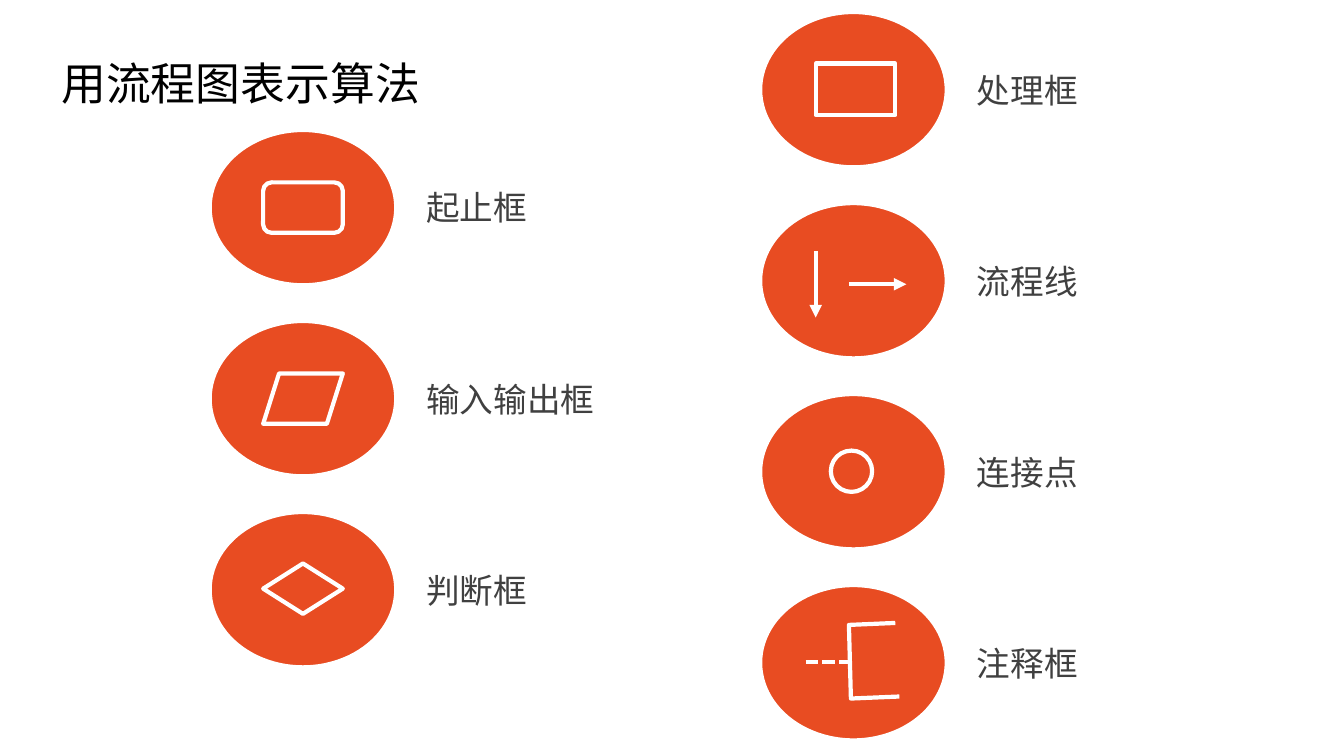
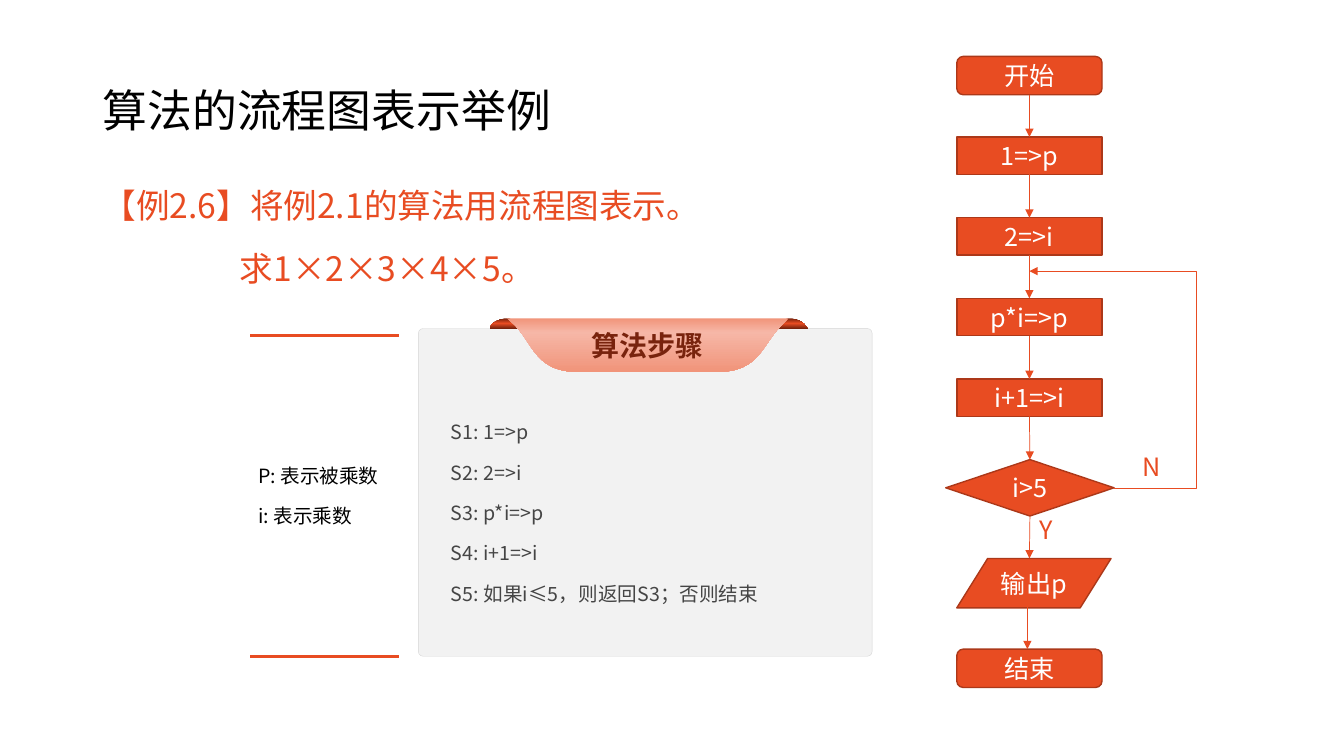
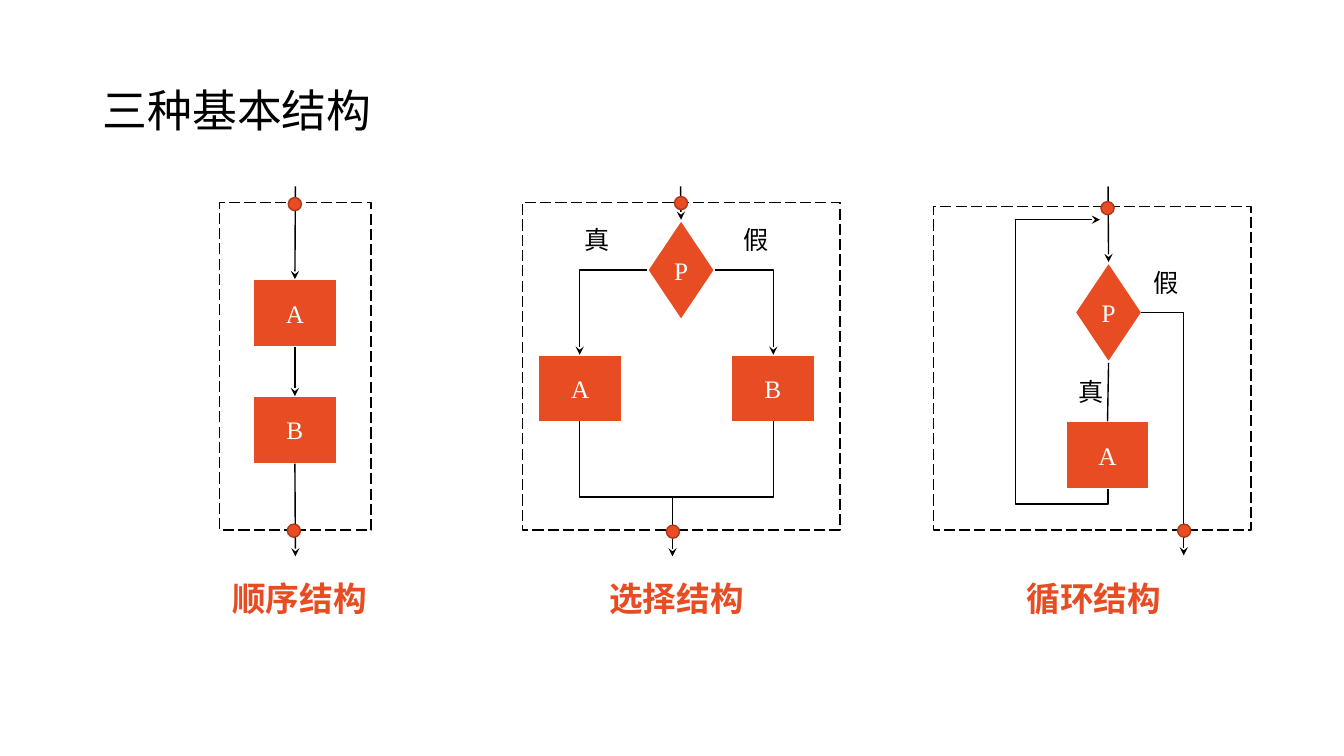
"""Build three slides on flowchart symbols, an example and the basic structures."""
from dataclasses import dataclass

from lxml import etree
from pptx import Presentation
from pptx import util as u
from pptx.dml.color import RGBColor
from pptx.enum import dml, shapes, text
from pptx.oxml.ns import qn

Kind = shapes.MSO_SHAPE
Align = text.PP_ALIGN
Anchor = text.MSO_ANCHOR
Dash = dml.MSO_LINE


@dataclass(frozen=True)
class Theme:
    """Colours, fonts and type sizes shared by the slides."""

    accent: str = "E84C22"
    edge: str = "AC3819"
    dark: str = "78230D"
    ribbon: str = "F1947A"
    ribbon_light: str = "F6B7A7"
    panel: str = "F2F2F2"
    panel_edge: str = "D5D5D5"
    label: str = "404040"
    step: str = "454545"
    white: str = "FFFFFF"
    black: str = "000000"
    sans: str = "Noto Sans CJK SC"
    serif: str = "Times New Roman"
    caption_font: str = "Arial"
    title_size: int = 32
    lead_size: int = 24
    banner_size: int = 20
    node_size: int = 18
    note_size: int = 14


T = Theme()


def write(shape, lines, size, color, font=T.sans, bold=False, align=Align.LEFT,
          anchor=Anchor.TOP, insets=(0.1, 0.05, 0.1, 0.05), wrap=True,
          spacing=None, before=0, after=0, indents=()):
    """Put lines of uniformly styled text into a shape."""
    frame = shape.text_frame
    frame.text = "\n".join(lines)
    frame.word_wrap = wrap
    frame.vertical_anchor = anchor
    frame.margin_left, frame.margin_top, frame.margin_right, frame.margin_bottom = map(u.Inches, insets)
    for paragraph in frame.paragraphs:
        paragraph.alignment = align
        paragraph.space_before, paragraph.space_after = u.Pt(before), u.Pt(after)
        if spacing:
            paragraph.line_spacing = spacing
        paragraph.font.name = font
        paragraph.font.size = u.Pt(size)
        paragraph.font.bold = bold
        paragraph.font.color.rgb = RGBColor.from_string(color)
        properties = paragraph._p.get_or_add_pPr()
        defaults = properties.find(qn("a:defRPr"))
        etree.SubElement(defaults, qn("a:ea"), typeface=T.sans)
    for paragraph, indent in zip(frame.paragraphs, indents):
        properties = paragraph._p.get_or_add_pPr()
        properties.set("marL", str(u.Inches(indent)))
        properties.set("indent", "0")


def text_box(slide, at, lines, size, color, **style):
    """Add a free-standing text."""
    box = slide.shapes.add_textbox(*map(u.Inches, at))
    write(box, lines, size, color, **style)


def title(slide, words, left=0.92, top=0.4):
    """Add the slide title."""
    text_box(slide, (left, top, 11.5, 1.45), [words], T.title_size, T.black,
             anchor=Anchor.MIDDLE, spacing=0.9)


def outline(line, color, width, dash=None, arrow=None):
    """Style a line, with an optional dash and arrowhead at its end."""
    line.color.rgb = RGBColor.from_string(color)
    line.width = u.Pt(width)
    if dash:
        line.dash_style = dash
    if arrow:
        etree.SubElement(line._get_or_add_ln(), qn("a:tailEnd"), type=arrow)


def paint(shape, fill):
    """Fill a shape, or leave it open, and drop its shadow."""
    shape.shadow.inherit = False
    if fill:
        shape.fill.solid()
        shape.fill.fore_color.rgb = RGBColor.from_string(fill)
    else:
        shape.fill.background()


def figure(slide, kind, at, fill, color, width, dash=None):
    """Add a preset shape."""
    shape = slide.shapes.add_shape(kind, *map(u.Inches, at))
    paint(shape, fill)
    outline(shape.line, color, width, dash)
    return shape


def freeform(slide, points, close=False):
    """Add an unfilled outline through points."""
    corners = [(u.Inches(x), u.Inches(y)) for x, y in points]
    builder = slide.shapes.build_freeform(*corners[0])
    builder.add_line_segments(corners[1:], close=close)
    shape = builder.convert_to_shape()
    paint(shape, None)
    return shape


def polyline(slide, points, color, width, arrow=None):
    """Add an open bent line."""
    outline(freeform(slide, points).line, color, width, arrow=arrow)


def connect(slide, start, end, color, width, arrow=None, dash=None, source=None, target=None):
    """Add a straight line, joined below source and above target if given."""
    line = slide.shapes.add_connector(shapes.MSO_CONNECTOR.STRAIGHT,
                                      *map(u.Inches, (*start, *end)))
    etree.SubElement(line._element.spPr, qn("a:effectLst"))
    if source is not None:
        line.begin_connect(source, 2)
    if target is not None:
        line.end_connect(target, 0)
    outline(line.line, color, width, dash, arrow)
    effects = line._element.spPr.find(qn("a:effectLst"))
    line._element.spPr.append(effects)


def bezier(a, b, c, d, steps=12):
    """Return points along a cubic curve."""
    def blend(t, axis):
        s = 1 - t
        return (s ** 3 * a[axis] + 3 * s * s * t * b[axis]
                + 3 * s * t * t * c[axis] + t ** 3 * d[axis])
    return [(blend(i / steps, 0), blend(i / steps, 1)) for i in range(steps + 1)]


def gradient_piece(slide, points, stops):
    """Add a closed outline with a top-down gradient."""
    piece = freeform(slide, points, close=True)
    piece.line.fill.background()
    piece.fill.gradient()
    piece.fill.gradient_angle = 270
    stop_list = piece._element.spPr.find(qn("a:gradFill")).find(qn("a:gsLst"))
    for stop in list(stop_list):
        stop_list.remove(stop)
    for position, color in stops:
        stop = etree.SubElement(stop_list, qn("a:gs"), pos=str(position * 1000))
        etree.SubElement(stop, qn("a:srgbClr"), val=color)
    return piece


def symbol_slide(slide):
    """Show the flowchart symbols with their names."""
    title(slide, "用流程图表示算法", 0.51, 0.13)
    columns = (
        (2.09, 1.3, (("起止框", Kind.FLOWCHART_ALTERNATE_PROCESS, (0.52, 0.51, 0.79, 0.5)),
                     ("输入输出框", Kind.FLOWCHART_DATA, (0.52, 0.51, 0.79, 0.5)),
                     ("判断框", Kind.FLOWCHART_DECISION, (0.52, 0.5, 0.79, 0.5)))),
        (7.55, 0.13, (("处理框", Kind.FLOWCHART_PROCESS, (0.54, 0.5, 0.79, 0.51)),
                      ("流程线", None, None),
                      ("连接点", Kind.FLOWCHART_CONNECTOR, (0.69, 0.55, 0.41, 0.41)),
                      ("注释框", None, None))),
    )
    for left, first_top, entries in columns:
        for row, (name, kind, place) in enumerate(entries):
            top = first_top + 1.895 * row
            figure(slide, Kind.OVAL, (left, top, 1.83, 1.52), T.accent, T.white, 1.5)
            text_box(slide, (left + 2.04, top + 0.51, 1.99, 0.5), [name], T.lead_size, T.label)
            if kind:
                dx, dy, width, height = place
                figure(slide, kind, (left + dx, top + dy, width, height), None, T.white, 3)
    connect(slide, (8.09, 2.49), (8.09, 3.15), T.white, 3, "triangle")
    connect(slide, (8.42, 2.82), (8.99, 2.82), T.white, 3, "triangle")
    connect(slide, (7.99, 6.57), (8.42, 6.57), T.white, 3, dash=Dash.SQUARE_DOT)
    polyline(slide, [(8.88, 6.18), (8.42, 6.2), (8.44, 6.93), (8.92, 6.91)], T.white, 3)


def step_panel(slide):
    """Show the algorithm steps under a ribbon."""
    panel = figure(slide, Kind.ROUNDED_RECTANGLE, (4.15, 3.26, 4.5, 3.25),
                   T.panel, T.panel_edge, 0.25)
    panel.adjustments[0] = 0.014
    steps = ["S1: 1=>p", "S2: 2=>i", "S3: p*i=>p", "S4: i+1=>i",
             "S5: 如果i≤5，则返回S3；否则结束"]
    write(panel, steps, T.note_size, T.step, align=Align.JUSTIFY, anchor=Anchor.MIDDLE,
          insets=(0.31, 0.79, 0.31, 0.39), before=6, after=6)
    ear = [*bezier((4.86, 3.25), (4.88, 3.21), (4.92, 3.18), (4.97, 3.17)),
           (5, 3.16), (5.05, 3.16),
           *bezier((5.08, 3.17), (5.13, 3.18), (5.17, 3.21), (5.19, 3.25)),
           (5.2, 3.26), (4.86, 3.26)]
    for shift in (0, 2.81):
        gradient_piece(slide, [(x + shift, y) for x, y in ear],
                       ((0, T.dark), (49, T.accent), (100, T.dark)))
    ribbon = gradient_piece(
        slide,
        [(5.03, 3.16), (7.82, 3.16),
         *bezier((7.74, 3.24), (7.56, 3.42), (7.53, 3.69), (7.12, 3.69)),
         *bezier((5.73, 3.69), (5.32, 3.69), (5.29, 3.42), (5.11, 3.23))],
        ((0, T.ribbon), (26, T.ribbon_light), (100, T.ribbon)))
    write(ribbon, ["算法步骤"], T.banner_size, T.dark, bold=True,
          align=Align.CENTER, anchor=Anchor.MIDDLE)


def flow_node(slide, kind, at, words):
    """Add a labelled flowchart node."""
    node = figure(slide, kind, at, T.accent, T.edge, 1)
    write(node, [words], T.node_size, T.white, align=Align.CENTER,
          anchor=Anchor.MIDDLE, insets=(0, 0, 0, 0))
    return node


def flowchart(slide):
    """Draw the flowchart of the multiplication loop."""
    axis = 10.21
    chain = [flow_node(slide, Kind.FLOWCHART_ALTERNATE_PROCESS, (9.49, 0.56, 1.44, 0.38), "开始")]
    for row, words in enumerate(("1=>p", "2=>i", "p*i=>p", "i+1=>i"), start=1):
        chain.append(flow_node(slide, Kind.FLOWCHART_PROCESS,
                               (9.49, 0.56 + 0.8 * row, 1.44, 0.37), words))
    chain.append(flow_node(slide, Kind.FLOWCHART_DECISION, (9.38, 4.56, 1.67, 0.56), "i>5"))
    flow_node(slide, Kind.FLOWCHART_DATA, (9.49, 5.54, 1.53, 0.49), "输出p")
    flow_node(slide, Kind.FLOWCHART_ALTERNATE_PROCESS, (9.49, 6.44, 1.44, 0.38), "结束")
    for upper, lower in zip(chain, chain[1:]):
        connect(slide, (axis, 0.93), (axis, 1.36), T.accent, 0.5, "triangle",
                source=upper, target=lower)
    connect(slide, (axis, 5.12), (axis, 5.54), T.accent, 0.5, "triangle", source=chain[-1])
    connect(slide, (10.19, 6.02), (10.19, 6.44), T.accent, 0.5, "triangle")
    polyline(slide, [(11.05, 4.84), (11.87, 4.84), (11.87, 2.69), (axis, 2.69)],
             T.accent, 0.5, "triangle")
    for answer, left, top in (("Y", axis, 5.05), ("N", 11.23, 4.43)):
        text_box(slide, (left, top, 0.54, 0.45), [answer], T.node_size, T.accent)


def example_slide(slide):
    """Show an algorithm as steps and as a flowchart."""
    title(slide, "算法的流程图表示举例")
    text_box(slide, (0.92, 1.71, 9.09, 1.3),
             ["【例2.6】将例2.1的算法用流程图表示。", "求1×2×3×4×5。"],
             T.lead_size, T.accent, spacing=1.2, before=10, indents=(0, 1.36))
    step_panel(slide)
    flowchart(slide)
    for rule in (3.33, 6.51):
        connect(slide, (2.48, rule), (3.96, rule), T.accent, 2)
    text_box(slide, (2.48, 3.33, 1.49, 3.18), ["P: 表示被乘数", "i: 表示乘数"],
             T.note_size, T.black, align=Align.JUSTIFY, anchor=Anchor.MIDDLE,
             insets=(0.08, 0.08, 0.08, 0.08), before=6, after=6)


def block(slide, left, top, letter, kind=Kind.RECTANGLE, width=0.83, height=0.67):
    """Add a lettered block of a control structure."""
    shape = figure(slide, kind, (left, top, width, height), T.accent, T.white, 1.5)
    write(shape, [letter], T.node_size, T.white, font=T.serif, align=Align.CENTER,
          anchor=Anchor.MIDDLE, wrap=False)
    return shape


def condition(slide, left, top):
    """Add the condition diamond of a control structure."""
    return block(slide, left, top, "P", Kind.DIAMOND, 0.67, 1)


def flow(slide, *points, arrow="stealth", source=None, target=None):
    """Add a straight or bent flow line of a control structure."""
    if len(points) == 2:
        connect(slide, *points, T.black, 1, arrow, source=source, target=target)
    else:
        polyline(slide, points, T.black, 1, arrow)


def structure_frame(slide, at, caption, caption_left):
    """Add the dashed frame and the caption of a control structure."""
    figure(slide, Kind.RECTANGLE, at, None, T.black, 1, Dash.LONG_DASH)
    text_box(slide, (caption_left, 5.68, 1.92, 0.51), [caption], T.lead_size, T.accent,
             font=T.caption_font, bold=True, align=Align.CENTER)


def ports(slide, *places):
    """Mark the entry and exit of a control structure."""
    for left, top in places:
        figure(slide, Kind.FLOWCHART_CONNECTOR, (left, top, 0.13, 0.13), T.accent, T.edge, 1)


def branch_labels(slide, *labels):
    """Name the branches of a condition."""
    for words, left, top in labels:
        text_box(slide, (left, top, 0.5, 0.4), [words], T.node_size, T.black,
                 font=T.serif, align=Align.CENTER)


def sequence(slide):
    """Draw the sequence structure."""
    structure_frame(slide, (2.18, 2.01, 1.5, 3.25), "顺序结构", 2.01)
    first, second = block(slide, 2.51, 2.77, "A"), block(slide, 2.51, 3.93, "B")
    flow(slide, (2.93, 1.85), (2.93, 2.77), target=first)
    flow(slide, (2.93, 3.43), (2.93, 3.93), source=first, target=second)
    flow(slide, (2.93, 4.6), (2.93, 5.52), source=second)
    ports(slide, (2.86, 1.96), (2.85, 5.2))


def selection(slide):
    """Draw the selection structure."""
    structure_frame(slide, (5.18, 2.01, 3.15, 3.25), "选择结构", 5.75)
    block(slide, 5.34, 3.52, "A")
    block(slide, 7.25, 3.52, "B")
    test = condition(slide, 6.42, 2.18)
    flow(slide, (6.42, 2.68), (5.75, 2.68), (5.75, 3.52))
    flow(slide, (7.09, 2.68), (7.67, 2.68), (7.67, 3.52))
    flow(slide, (6.75, 1.85), (6.75, 2.18), target=test)
    flow(slide, (5.75, 4.18), (5.75, 4.93), (7.67, 4.93), (7.67, 4.18), arrow=None)
    flow(slide, (6.67, 4.93), (6.67, 5.52))
    branch_labels(slide, ("真", 5.67, 2.18), ("假", 7.25, 2.18))
    ports(slide, (6.69, 1.95), (6.61, 5.21))


def loop(slide):
    """Draw the loop structure."""
    structure_frame(slide, (9.26, 2.05, 3.15, 3.21), "循环结构", 9.89)
    test, body = condition(slide, 10.66, 2.6), block(slide, 10.57, 4.18, "A")
    flow(slide, (10.99, 3.6), (10.99, 4.18), arrow=None, source=test, target=body)
    flow(slide, (11.32, 3.1), (11.74, 3.1), (11.74, 5.51))
    flow(slide, (10.99, 4.85), (10.99, 5), (10.07, 5), (10.07, 2.18), (10.91, 2.18))
    flow(slide, (10.99, 1.85), (10.99, 2.6), target=test)
    branch_labels(slide, ("假", 11.32, 2.6), ("真", 10.57, 3.68))
    ports(slide, (10.92, 2), (11.68, 5.2))


def structure_slide(slide):
    """Show the three basic control structures."""
    title(slide, "三种基本结构")
    for draw in (sequence, selection, loop):
        draw(slide)


def main():
    """Build and save the presentation."""
    deck = Presentation()
    deck.slide_width, deck.slide_height = u.Inches(13.33), u.Inches(7.5)
    for build in (symbol_slide, example_slide, structure_slide):
        build(deck.slides.add_slide(deck.slide_layouts[6]))
    deck.save("out.pptx")


if __name__ == "__main__":
    main()
